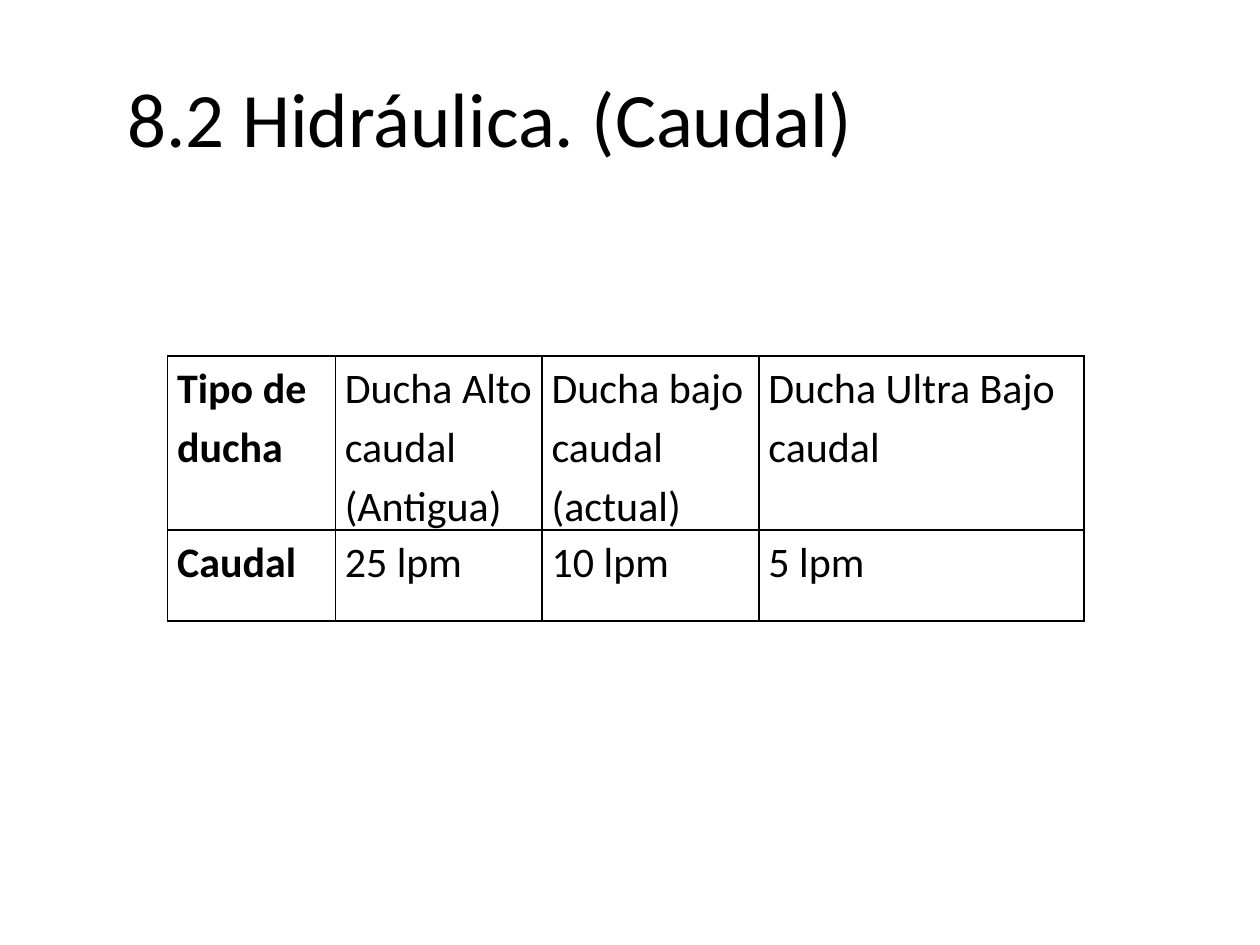
from lxml.etree import SubElement
from pptx import Presentation
from pptx.dml.color import RGBColor
from pptx.enum.text import MSO_ANCHOR, PP_ALIGN
from pptx.oxml.ns import qn
from pptx.util import Cm, Pt

COLORS = {"text": "000000", "border": "000000", "background": "FFFFFF"}
FONT = "Calibri"


def write_text(text_frame, text, size, bold=False, align=PP_ALIGN.LEFT, spacing=1.0):
    paragraph = text_frame.paragraphs[0]
    paragraph.alignment = align
    paragraph.line_spacing = spacing
    run = paragraph.add_run()
    run.text = text
    run.font.name = FONT
    run.font.size = Pt(size)
    run.font.bold = bold
    run.font.color.rgb = RGBColor.from_string(COLORS["text"])


def add_borders(cell, width):
    properties = cell._tc.get_or_add_tcPr()
    for position, side in enumerate(("lnL", "lnR", "lnT", "lnB")):
        line = properties.makeelement(qn(f"a:{side}"), {"w": str(Pt(width))})
        fill = SubElement(line, qn("a:solidFill"))
        SubElement(fill, qn("a:srgbClr"), val=COLORS["border"])
        properties.insert(position, line)


presentation = Presentation()
presentation.slide_width = Cm(25.4)
presentation.slide_height = Cm(19.05)
slide = presentation.slides.add_slide(presentation.slide_layouts[6])
slide.background.fill.solid()
slide.background.fill.fore_color.rgb = RGBColor.from_string(COLORS["background"])

# Title, set in from the left by its margin
title = slide.shapes.add_textbox(Cm(1.27), Cm(0.76), Cm(22.86), Cm(3.18))
title.text_frame.word_wrap = True
title.text_frame.vertical_anchor = MSO_ANCHOR.MIDDLE
title.text_frame.margin_left = Cm(1.3)
write_text(title.text_frame, "8.2 Hidráulica. (Caudal)", size=44)

# Flow table: shower types above, flow rates below
rows = [
    ["Tipo de ducha", "Ducha Alto caudal (Antigua)",
     "Ducha bajo caudal (actual)", "Ducha Ultra Bajo caudal"],
    ["Caudal", "25 lpm", "10 lpm", "5 lpm"],
]
column_widths = [3.38, 4.17, 4.37, 6.55]
row_heights = [2.6, 1.83]
row_alignments = [PP_ALIGN.LEFT, PP_ALIGN.JUSTIFY]

table = slide.shapes.add_table(
    len(rows), len(column_widths), Cm(3.38), Cm(7.18),
    Cm(sum(column_widths)), Cm(sum(row_heights)),
).table
table.horz_banding = False
for column, width in zip(table.columns, column_widths):
    column.width = Cm(width)
for row, height in zip(table.rows, row_heights):
    row.height = Cm(height)

for row, texts, align in zip(table.rows, rows, row_alignments):
    for index, (cell, text) in enumerate(zip(row.cells, texts)):
        cell.fill.background()
        cell.margin_left = cell.margin_right = Cm(0.19)
        cell.margin_top = cell.margin_bottom = 0
        write_text(cell.text_frame, text, size=24, bold=index == 0,
                   align=align, spacing=1.15)
        add_borders(cell, width=1)

presentation.save("out.pptx")
